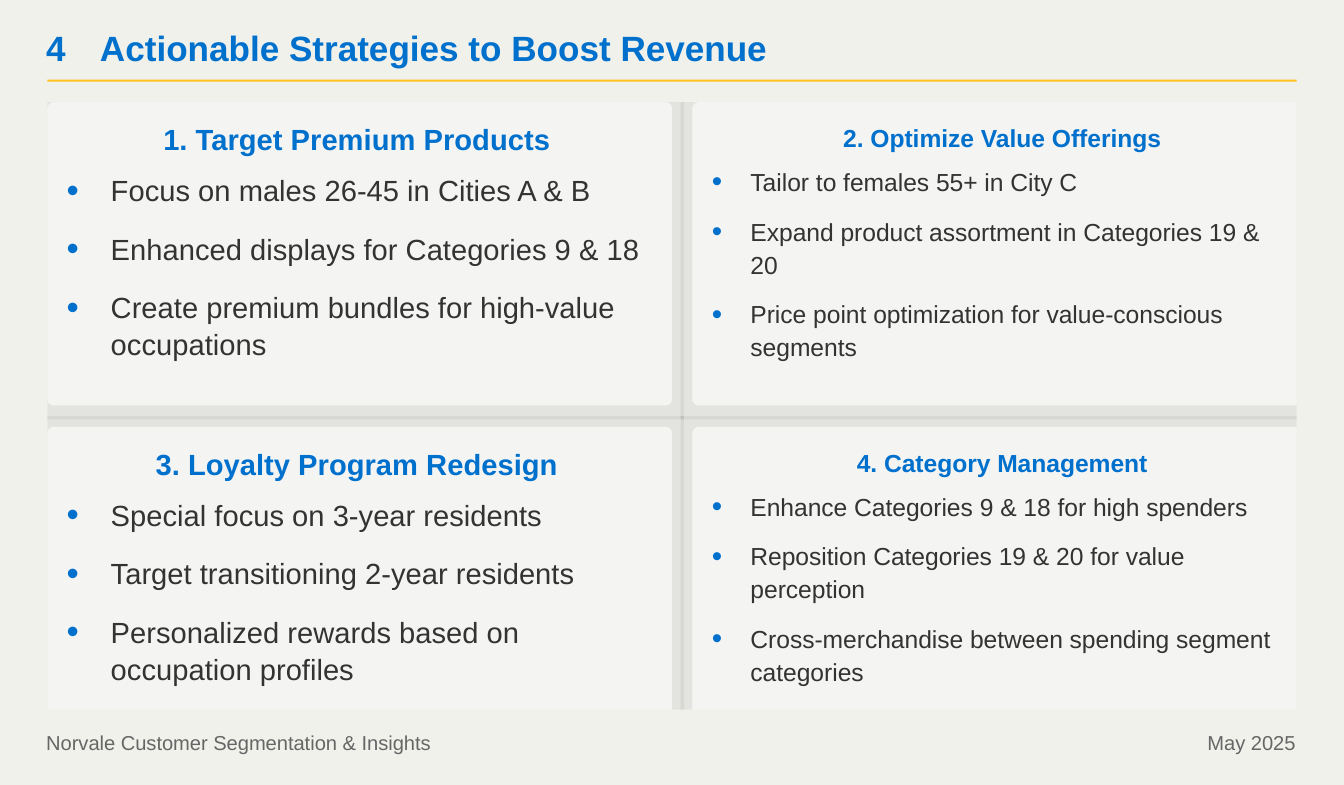
from math import cos, radians, sin

from lxml.etree import SubElement
from pptx import Presentation
from pptx.dml.color import RGBColor
from pptx.enum.shapes import MSO_SHAPE
from pptx.enum.text import MSO_ANCHOR, MSO_AUTO_SIZE, PP_ALIGN
from pptx.oxml.ns import qn
from pptx.util import Inches, Pt

COLORS = {
    "background": "F0F1EB",
    "blue": "0070CD",
    "yellow": "FFC220",
    "card": "F5F5F5",
    "shadow": "000000",
    "body": "333333",
    "footer": "666666",
}
FONT = "Arial"

TITLE = "4\tActionable Strategies to Boost Revenue"
STRATEGIES = [
    ("1. Target Premium Products", [
        "Focus on males 26-45 in Cities A & B",
        "Enhanced displays for Categories 9 & 18",
        "Create premium bundles for high-value occupations",
    ]),
    ("2. Optimize Value Offerings", [
        "Tailor to females 55+ in City C",
        "Expand product assortment in Categories 19 & 20",
        "Price point optimization for value-conscious segments",
    ]),
    ("3. Loyalty Program Redesign", [
        "Special focus on 3-year residents",
        "Target transitioning 2-year residents",
        "Personalized rewards based on occupation profiles",
    ]),
    ("4. Category Management", [
        "Enhance Categories 9 & 18 for high spenders",
        "Reposition Categories 19 & 20 for value perception",
        "Cross-merchandise between spending segment categories",
    ]),
]
FOOTERS = [  # text, left, width, alignment
    ("Norvale Customer Segmentation & Insights", 0.43, 5, PP_ALIGN.LEFT),
    ("May 2025", 10.05, 2, PP_ALIGN.RIGHT),
]

# Card and shadow extents (start, end) by column and by row
CARD_COLUMNS = [(0.44, 6.25), (6.44, 12.06)]
CARD_ROWS = [(0.95, 3.77), (3.97, 6.6)]
SHADOW_COLUMNS = [(0.44, 6.36), (6.33, 12.06)]
SHADOW_ROWS = [(0.95, 3.9), (3.87, 6.6)]
CORNER = 0.06
TEXT_INSET, TEXT_WIDTH, TEXT_HEIGHT = 0.18, 5.4, 2.4

# Text measures by column, in points
COLUMN_STYLES = [
    {"size": 19.5, "line": 24.8, "first_gap": 9.4, "gap": 14.4, "hang": 0.41},
    {"size": 16.5, "line": 22.1, "first_gap": 7.4, "gap": 11.1, "hang": 0.36},
]


def place(shape, left, top, width, height):
    shape.left, shape.top = Inches(left), Inches(top)
    shape.width, shape.height = Inches(width), Inches(height)
    frame = shape.text_frame
    frame.word_wrap = True
    frame.auto_size = MSO_AUTO_SIZE.NONE
    frame.vertical_anchor = MSO_ANCHOR.TOP
    frame.margin_left = frame.margin_right = 0
    frame.margin_top = frame.margin_bottom = 0


def write(paragraph, text, size, color, bold=False, align=PP_ALIGN.LEFT,
          before=0, line=None, hang=0, tab=None):
    """Fill a paragraph; hang (inches) gives it a bullet, tab sets a stop."""
    paragraph.alignment = align
    paragraph.space_before, paragraph.space_after = Pt(before), Pt(0)
    paragraph.line_spacing = Pt(line) if line else 1.0
    run = paragraph.add_run()
    run.text = text
    run.font.name, run.font.size, run.font.bold = FONT, Pt(size), bold
    run.font.color.rgb = RGBColor.from_string(COLORS[color])

    properties = paragraph._p.get_or_add_pPr()
    properties.set("marL", str(Inches(hang)))
    properties.set("indent", str(-Inches(hang)))
    if hang:
        bullet_color = SubElement(properties, qn("a:buClr"))
        SubElement(bullet_color, qn("a:srgbClr"), val=COLORS["blue"])
        SubElement(properties, qn("a:buSzPct"), val="120000")
        SubElement(properties, qn("a:buFont"), typeface=FONT)
        SubElement(properties, qn("a:buChar"), char="•")
    else:
        SubElement(properties, qn("a:buNone"))
    if tab:
        stops = SubElement(properties, qn("a:tabLst"))
        SubElement(stops, qn("a:tab"), pos=str(Inches(tab)), algn="l")


def paint(shape, color, opacity=100):
    shape.shadow.inherit = False
    shape.line.fill.background()
    shape.fill.solid()
    shape.fill.fore_color.rgb = RGBColor.from_string(COLORS[color])
    if opacity < 100:
        fill_color = shape.element.spPr.find(".//" + qn("a:srgbClr"))
        SubElement(fill_color, qn("a:alpha"), val=str(opacity * 1000))


def outline(columns, rows, rounded=(False,) * 4):
    """Points of a box, clockwise from top left, with chosen corners rounded."""
    (left, right), (top, bottom) = columns, rows
    corners = [(left, top, 1, 1), (right, top, -1, 1),
               (right, bottom, -1, -1), (left, bottom, 1, -1)]
    points = []
    for index, (x, y, inward_x, inward_y) in enumerate(corners):
        if not rounded[index]:
            points.append((x, y))
            continue
        center_x, center_y = x + inward_x * CORNER, y + inward_y * CORNER
        for step in range(0, 91, 15):
            angle = radians(180 + 90 * index + step)
            points.append((center_x + CORNER * cos(angle),
                           center_y + CORNER * sin(angle)))
    return [(Inches(x), Inches(y)) for x, y in points]


def draw(slide, contours, color, opacity):
    first, *others = contours
    builder = slide.shapes.build_freeform(*first[0])
    builder.add_line_segments(first[1:], close=True)
    for contour in others:
        builder.move_to(*contour[0])
        builder.add_line_segments(contour[1:], close=True)
    paint(builder.convert_to_shape(), color, opacity)


def add_card(slide, column, row):
    whole_right, whole_bottom = column == 0, row == 0
    rounded = (True, whole_right, whole_right and whole_bottom, whole_bottom)
    card = outline(CARD_COLUMNS[column], CARD_ROWS[row], rounded)
    shadow = outline(SHADOW_COLUMNS[column], SHADOW_ROWS[row])
    draw(slide, [shadow, card], "shadow", 5)
    draw(slide, [card], "card", 85)


def add_strategy(placeholder, column, row, heading, points):
    style = COLUMN_STYLES[column]
    size, line = style["size"], style["line"]
    place(placeholder, CARD_COLUMNS[column][0] + TEXT_INSET,
          CARD_ROWS[row][0] + 0.16, TEXT_WIDTH, TEXT_HEIGHT)
    frame = placeholder.text_frame
    write(frame.paragraphs[0], heading, size, "blue", bold=True,
          align=PP_ALIGN.CENTER, line=line)
    for index, point in enumerate(points):
        write(frame.add_paragraph(), point, size, "body", line=line,
              before=style["gap"] if index else style["first_gap"],
              hang=style["hang"])
    # Bring the text in front of the cards
    placeholder.element.getparent().append(placeholder.element)


def main():
    presentation = Presentation()
    presentation.slide_width, presentation.slide_height = Inches(12.5), Inches(7.3)
    comparison_layout = presentation.slide_layouts[4]
    slide = presentation.slides.add_slide(comparison_layout)
    slide.background.fill.solid()
    slide.background.fill.fore_color.rgb = RGBColor.from_string(COLORS["background"])

    title, *bodies = slide.placeholders
    place(title, 0.43, 0.25, 11, 0.41)
    write(title.text_frame.paragraphs[0], TITLE, 23.5, "blue", bold=True, tab=0.37)
    rule = slide.shapes.add_shape(MSO_SHAPE.RECTANGLE, Inches(0.44), Inches(0.74),
                                  Inches(11.62), Inches(0.02))
    paint(rule, "yellow")

    cells = [divmod(index, 2) for index in range(len(STRATEGIES))]
    for row, column in cells:
        add_card(slide, column, row)
    for (row, column), body, strategy in zip(cells, bodies, STRATEGIES):
        add_strategy(body, column, row, *strategy)

    for text, left, width, align in FOOTERS:
        footer = slide.shapes.add_textbox(0, 0, 0, 0)
        place(footer, left, 6.79, width, 0.24)
        write(footer.text_frame.paragraphs[0], text, 13.5, "footer",
              align=align, line=16.1)

    presentation.save("out.pptx")


if __name__ == "__main__":
    main()
